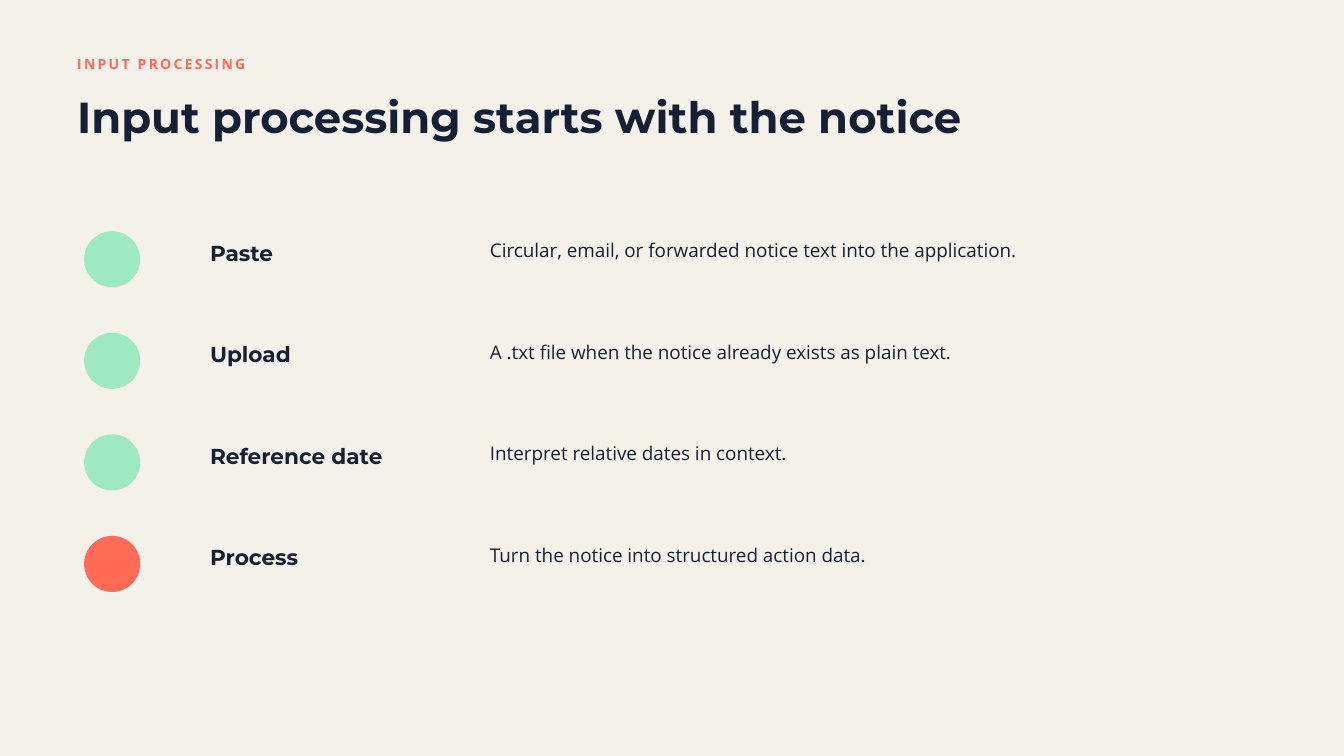
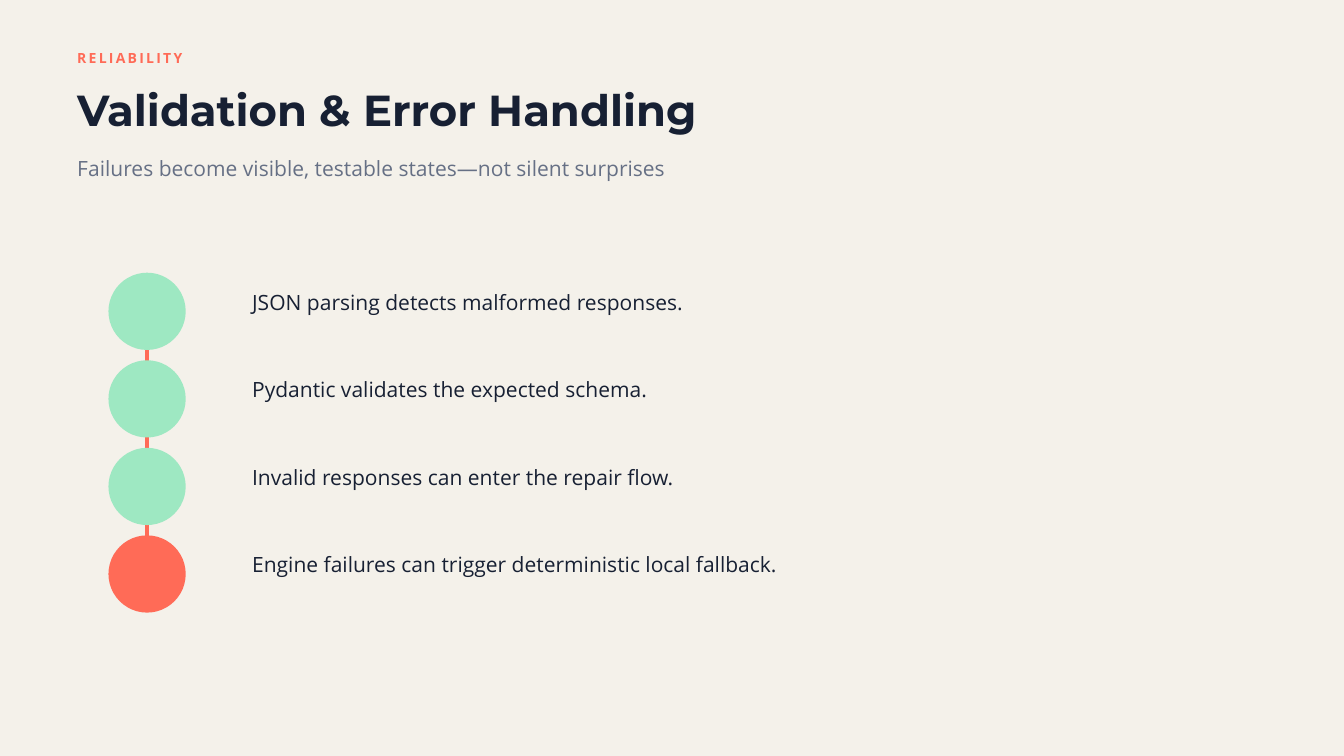
from lxml.etree import SubElement
from pptx import Presentation
from pptx.dml.color import RGBColor
from pptx.enum.shapes import MSO_CONNECTOR, MSO_SHAPE
from pptx.enum.text import MSO_AUTO_SIZE
from pptx.oxml.ns import qn
from pptx.util import Cm, Pt

CREAM = RGBColor(0xF4, 0xF1, 0xEA)
NAVY = RGBColor(0x17, 0x20, 0x33)
CORAL = RGBColor(0xFF, 0x6B, 0x57)
MINT = RGBColor(0x9E, 0xE8, 0xC2)
GRAY = RGBColor(0x66, 0x70, 0x85)

HEADING_FONT = "Montserrat"
BODY_FONT = "Open Sans"
MARGIN = 2.92

STYLES = {
    "eyebrow": ({"name": BODY_FONT, "size": Pt(15), "bold": True}, CORAL, 21),
    "title": ({"name": HEADING_FONT, "size": Pt(46.5), "bold": True}, NAVY, 50.2),
    "subtitle": ({"name": BODY_FONT, "size": Pt(22.5)}, GRAY, 31.5),
    "label": ({"name": HEADING_FONT, "size": Pt(23.2), "bold": True}, NAVY, 32.5),
    "description": ({"name": BODY_FONT, "size": Pt(20.2)}, NAVY, 27.3),
    "check": ({"name": BODY_FONT, "size": Pt(22.5)}, NAVY, 31.5),
}
FRAME_FORMAT = {
    "margin_left": 0,
    "margin_top": 0,
    "margin_right": 0,
    "margin_bottom": 0,
    "word_wrap": True,
    "auto_size": MSO_AUTO_SIZE.SHAPE_TO_FIT_TEXT,
}

INPUT_STEPS = [
    ("Paste", "Circular, email, or forwarded notice text into the application."),
    ("Upload", "A .txt file when the notice already exists as plain text."),
    ("Reference date", "Interpret relative dates in context."),
    ("Process", "Turn the notice into structured action data."),
]
CHECKS = [
    "JSON parsing detects malformed responses.",
    "Pydantic validates the expected schema.",
    "Invalid responses can enter the repair flow.",
    "Engine failures can trigger deterministic local fallback.",
]


def apply_format(target, values):
    for name, value in values.items():
        setattr(target, name, value)


class Deck:
    def __init__(self):
        self.presentation = Presentation()
        self.presentation.slide_width = Cm(50.8)
        self.presentation.slide_height = Cm(28.58)
        self.slide = None
        self.shapes = None

    def start_slide(self, eyebrow, eyebrow_top, title, title_top):
        self.slide = self.presentation.slides.add_slide(self.presentation.slide_layouts[6])
        self.shapes = self.slide.shapes
        fill = self.slide.background.fill
        fill.solid()
        fill.fore_color.rgb = CREAM
        self.text("eyebrow", eyebrow, MARGIN, eyebrow_top, 13.23, 0.71, spacing=2.4)
        self.text("title", title, MARGIN, title_top, 39.67, 1.78)

    def start_group(self):
        self.shapes = self.slide.shapes.add_group_shape().shapes

    def text(self, style, words, left, top, width, height, spacing=None):
        font_format, color, line_height = STYLES[style]
        box = self.shapes.add_textbox(Cm(left), Cm(top), Cm(width), Cm(height))
        apply_format(box.text_frame, FRAME_FORMAT)
        paragraph = box.text_frame.paragraphs[0]
        paragraph.line_spacing = Pt(line_height)
        run = paragraph.add_run()
        run.text = words
        apply_format(run.font, font_format)
        run.font.color.rgb = color
        if spacing:
            run._r.get_or_add_rPr().set("spc", str(round(spacing * 100)))

    def circle(self, left, top, diameter, color):
        shape = self.shapes.add_shape(
            MSO_SHAPE.OVAL, Cm(left), Cm(top), Cm(diameter), Cm(diameter)
        )
        shape.shadow.inherit = False
        shape.fill.solid()
        shape.fill.fore_color.rgb = color
        shape.line.fill.background()

    def vertical_line(self, left, top, bottom, color, weight):
        connector = self.shapes.add_connector(
            MSO_CONNECTOR.STRAIGHT, Cm(left), Cm(top), Cm(left), Cm(bottom)
        )
        connector.line.color.rgb = color
        connector.line.width = Pt(weight)
        SubElement(connector._element.spPr, qn("a:effectLst"))

    def circle_rows(self, items, left, top, diameter, step):
        for index, item in enumerate(items):
            row_top = top + index * step
            self.start_group()
            self.circle(left, row_top, diameter, CORAL if index == len(items) - 1 else MINT)
            yield row_top, item


def build_input_slide(deck):
    deck.start_slide("INPUT PROCESSING", 1.98, "Input processing starts with the notice", 3.61)
    for top, (label, description) in deck.circle_rows(INPUT_STEPS, 3.18, 8.74, 2.12, 3.84):
        deck.text("label", label, 7.94, top + 0.15, 8.74, 1.07)
        deck.text("description", description, 18.52, top + 0.18, 25.93, 0.91)


def build_reliability_slide(deck):
    deck.start_slide("RELIABILITY", 1.78, "Validation & Error Handling", 3.33)
    deck.text(
        "subtitle",
        "Failures become visible, testable states—not silent surprises",
        MARGIN, 5.72, 37.03, 1.07,
    )
    deck.vertical_line(5.56, 10.97, 21.97, CORAL, 3.75)
    for top, check in deck.circle_rows(CHECKS, 4.1, 10.31, 2.92, 3.31):
        deck.text("check", check, 9.53, top + 0.46, 33.07, 1.04)


def main():
    deck = Deck()
    build_input_slide(deck)
    build_reliability_slide(deck)
    deck.presentation.save("out.pptx")


if __name__ == "__main__":
    main()
